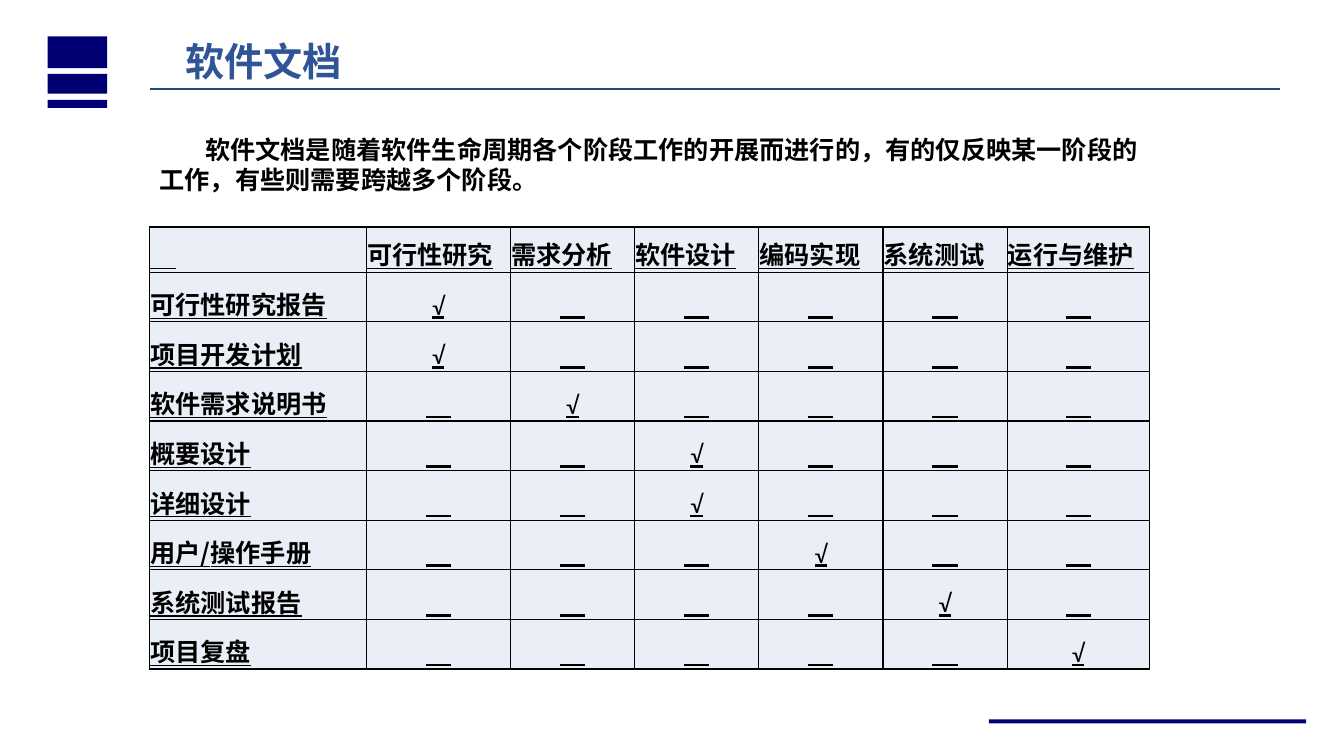
from lxml import etree
from pptx import Presentation
from pptx import util as u
from pptx.dml.color import RGBColor
from pptx.enum import shapes, text
from pptx.oxml import ns, parse_xml

COLORS = {"navy": "000074", "title": "2F5597", "rule": "1F4E79",
          "cell": "EAEFF7", "ink": "000000"}
HEADING_FONT = "Noto Sans CJK SC"
MARK_FONT = "Calibri"


def color(name):
    return RGBColor.from_string(COLORS[name])


def write(frame, words, size=18, font=HEADING_FONT, ink="ink", bold=True,
          underline=False, align=text.PP_ALIGN.LEFT, spacing=None, indent=0):
    para = frame.paragraphs[0]
    para.alignment = align
    if spacing:
        para.line_spacing = u.Pt(spacing)
    if indent:
        para._p.get_or_add_pPr().set("indent", str(u.Cm(indent)))
    span = para.add_run()
    span.text = words
    span.font.size = u.Pt(size)
    span.font.name = font
    span.font.bold = bold
    span.font.underline = underline
    span.font.color.rgb = color(ink)
    east_asian = etree.SubElement(span._r.get_or_add_rPr(), ns.qn("a:ea"))
    east_asian.set("typeface", font)


deck = Presentation()
deck.slide_width = u.Cm(33.87)
deck.slide_height = u.Cm(19.05)
page = deck.slides.add_slide(deck.slide_layouts[6])

bars = [(1.2, 0.92, 1.5, 0.8), (1.2, 1.86, 1.5, 0.5),
        (1.2, 2.52, 1.5, 0.2), (24.92, 18.13, 8, 0.1)]
for place in bars:
    bar = page.shapes.add_shape(shapes.MSO_SHAPE.RECTANGLE, *map(u.Cm, place))
    bar.shadow.inherit = False
    bar.fill.solid()
    bar.fill.fore_color.rgb = color("navy")
    bar.line.fill.background()

rule = page.shapes.add_connector(shapes.MSO_CONNECTOR.STRAIGHT,
                                 u.Cm(3.77), u.Cm(2.24), u.Cm(32.26), u.Cm(2.24))
rule.line.color.rgb = color("rule")
rule.line.width = u.Pt(1.25)
etree.SubElement(rule._element.spPr, ns.qn("a:effectLst"))

passages = [
    ("软件文档", (4.42, 0.74, 7.72, 1.45),
     dict(size=28, ink="title", spacing=34)),
    ("软件文档是随着软件生命周期各个阶段工作的开展而进行的，有的仅反映某一阶段的工作，有些则需要跨越多个阶段。",
     (3.77, 3.18, 25.2, 1.8), dict(spacing=21.5, indent=1.15)),
]
for words, place, style in passages:
    box = page.shapes.add_textbox(*map(u.Cm, place))
    box.text_frame.word_wrap = True
    box.text_frame.margin_top = u.Cm(0.2)
    write(box.text_frame, words, **style)

phases = ["可行性研究", "需求分析", "软件设计", "编码实现", "系统测试", "运行与维护"]
documents = {"可行性研究报告": 1, "项目开发计划": 1, "软件需求说明书": 2, "概要设计": 3,
             "详细设计": 3, "用户/操作手册": 4, "系统测试报告": 5, "项目复盘": 6}
widths = [5.46, 3.63] + [3.13] * 4 + [3.58]
heights = [1.14] + [1.25] * len(documents)
blank = "\u3000"

rows = [[blank] + phases]
for document, phase in documents.items():
    rows.append([document] + ["√" if column == phase else blank
                              for column in range(1, len(widths))])

table = page.shapes.add_table(len(rows), len(widths), u.Cm(3.77), u.Cm(5.72),
                              u.Cm(sum(widths)), u.Cm(sum(heights))).table
table.first_row = False
table.horz_banding = False
for column, width in zip(table.columns, widths):
    column.width = u.Cm(width)
for row, height in zip(table.rows, heights):
    row.height = u.Cm(height)

for row_index, row in enumerate(rows):
    for column_index, words in enumerate(row):
        cell = table.cell(row_index, column_index)
        cell.vertical_anchor = text.MSO_ANCHOR.BOTTOM
        cell.margin_left = cell.margin_right = cell.margin_top = u.Cm(0.02)
        cell.margin_bottom = 0
        cell.fill.solid()
        cell.fill.fore_color.rgb = color("cell")
        for position, side in enumerate(["lnL", "lnR", "lnT", "lnB"]):
            border = parse_xml(
                f'<a:{side} {ns.nsdecls("a")} w="{u.Pt(1)}"><a:solidFill>'
                f'<a:srgbClr val="{COLORS["ink"]}"/></a:solidFill></a:{side}>')
            cell._tc.get_or_add_tcPr().insert(position, border)
        if row_index and column_index:
            write(cell.text_frame, words, font=MARK_FONT, bold=False,
                  underline=True, align=text.PP_ALIGN.CENTER)
        else:
            write(cell.text_frame, words, underline=True)

deck.save("out.pptx")
